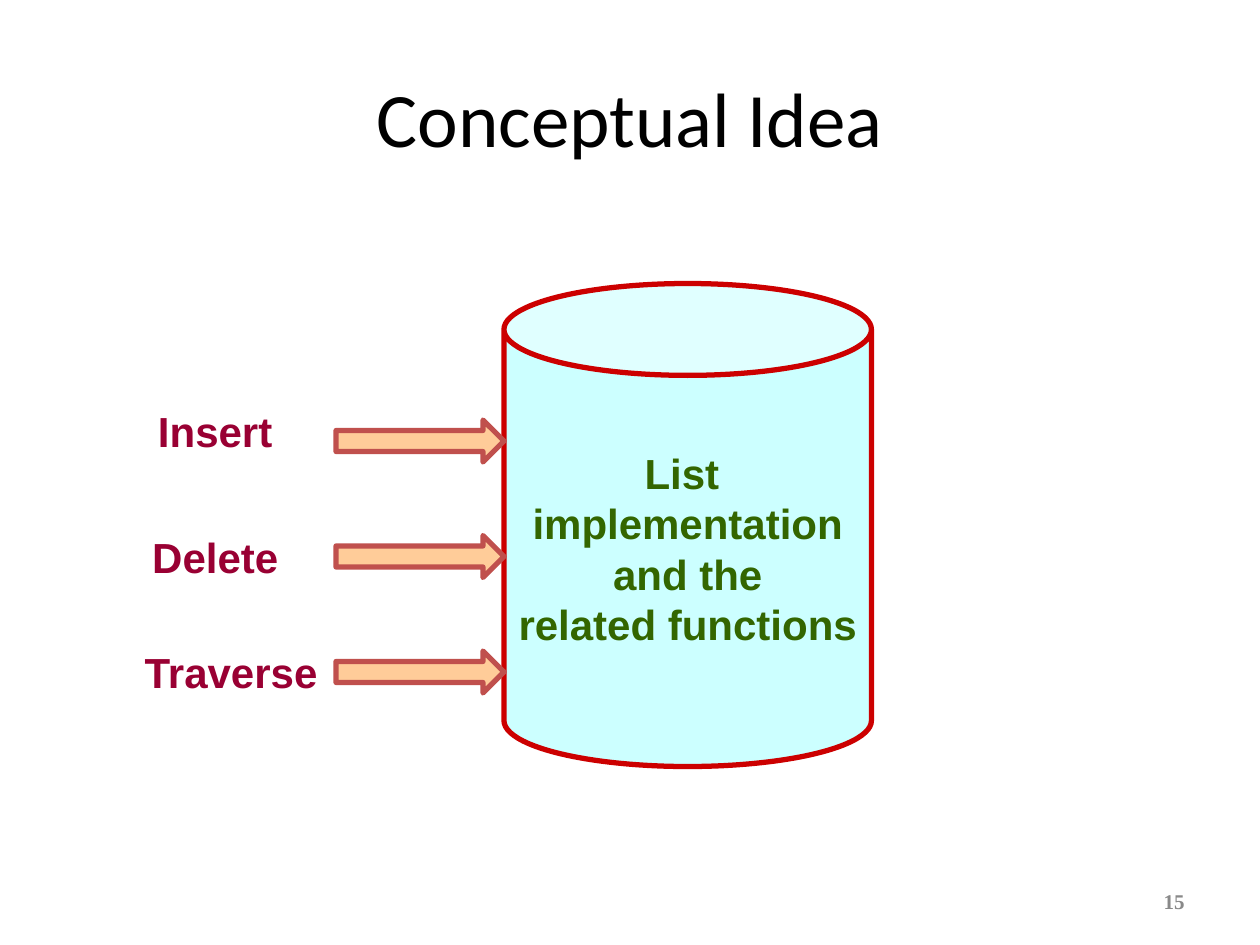
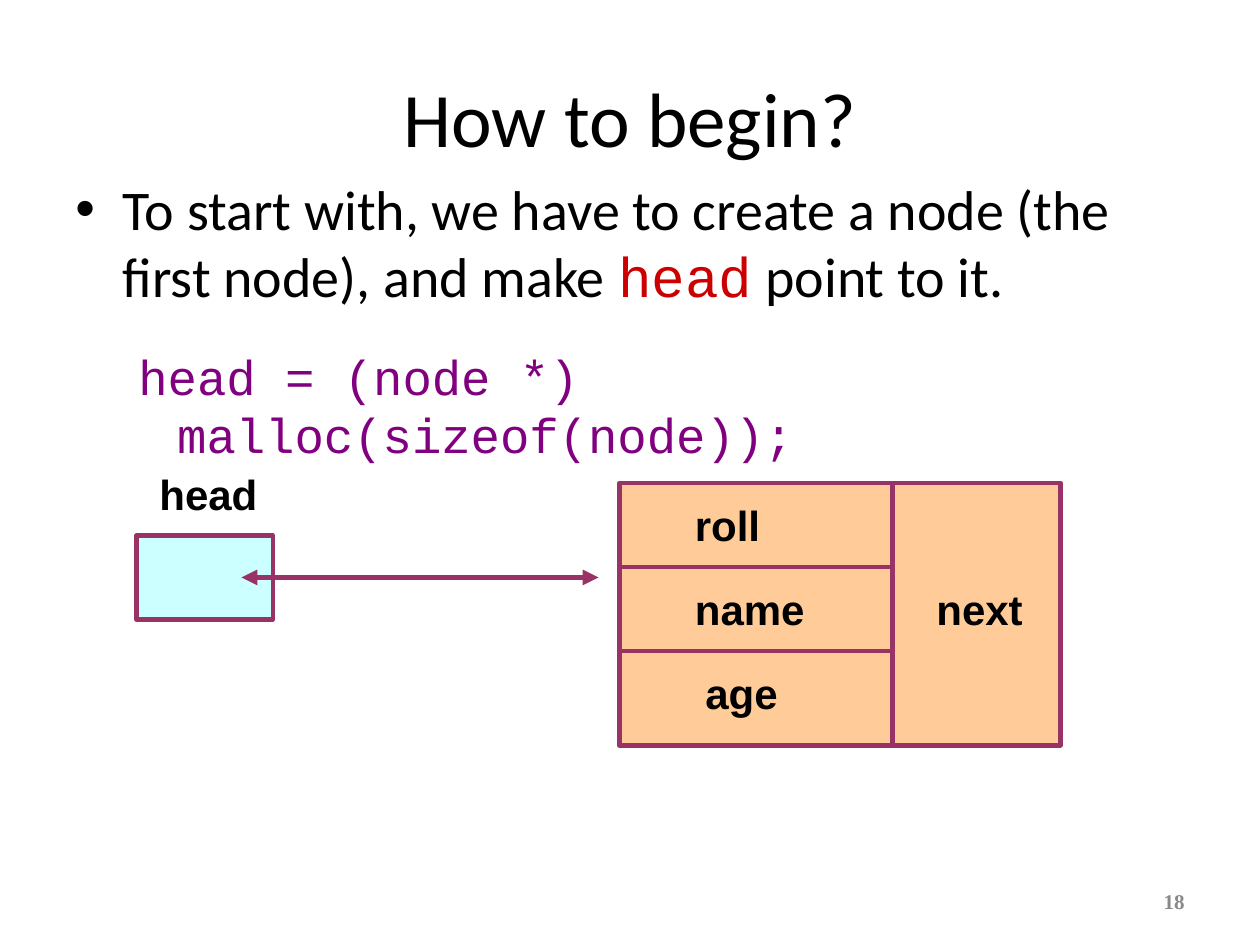
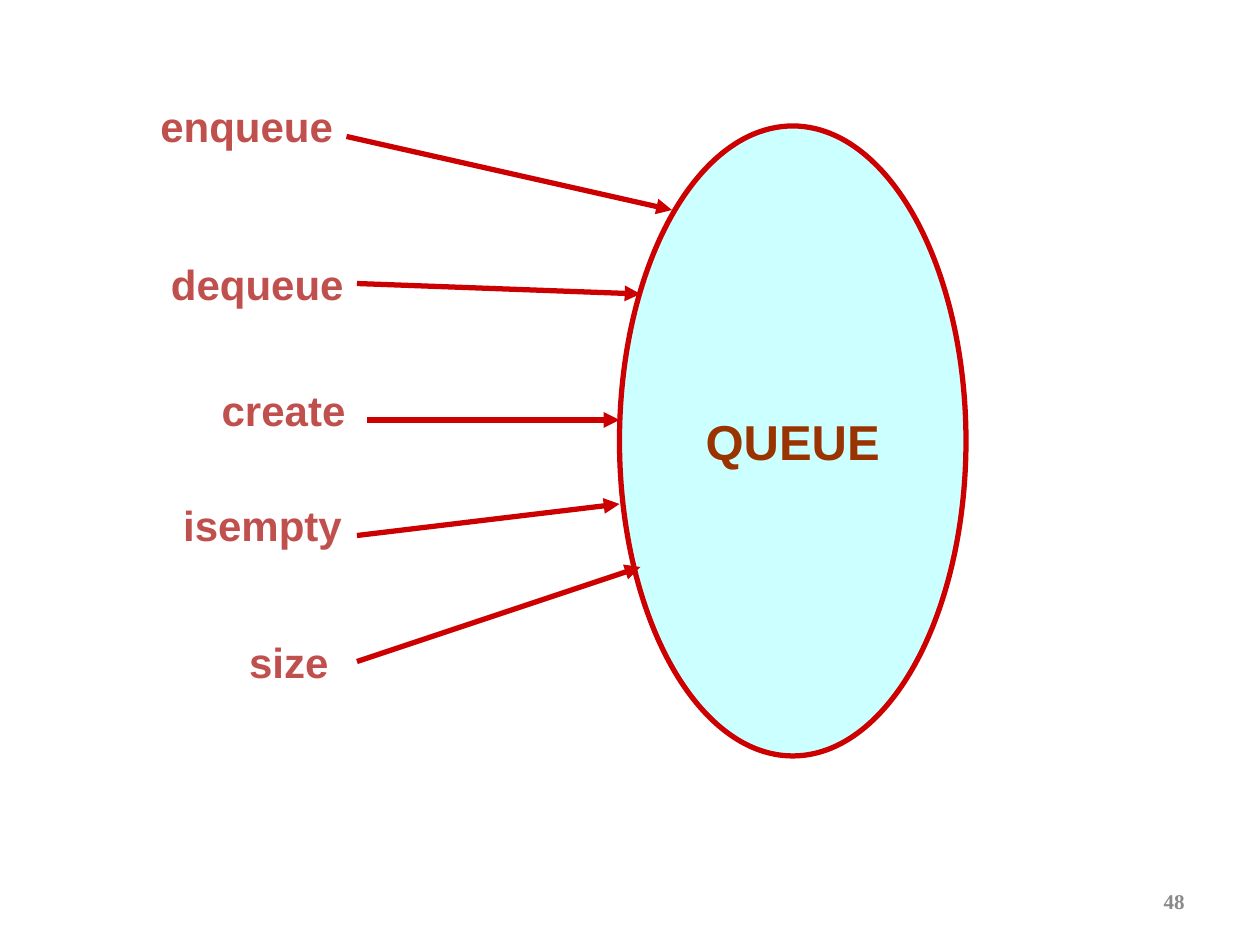
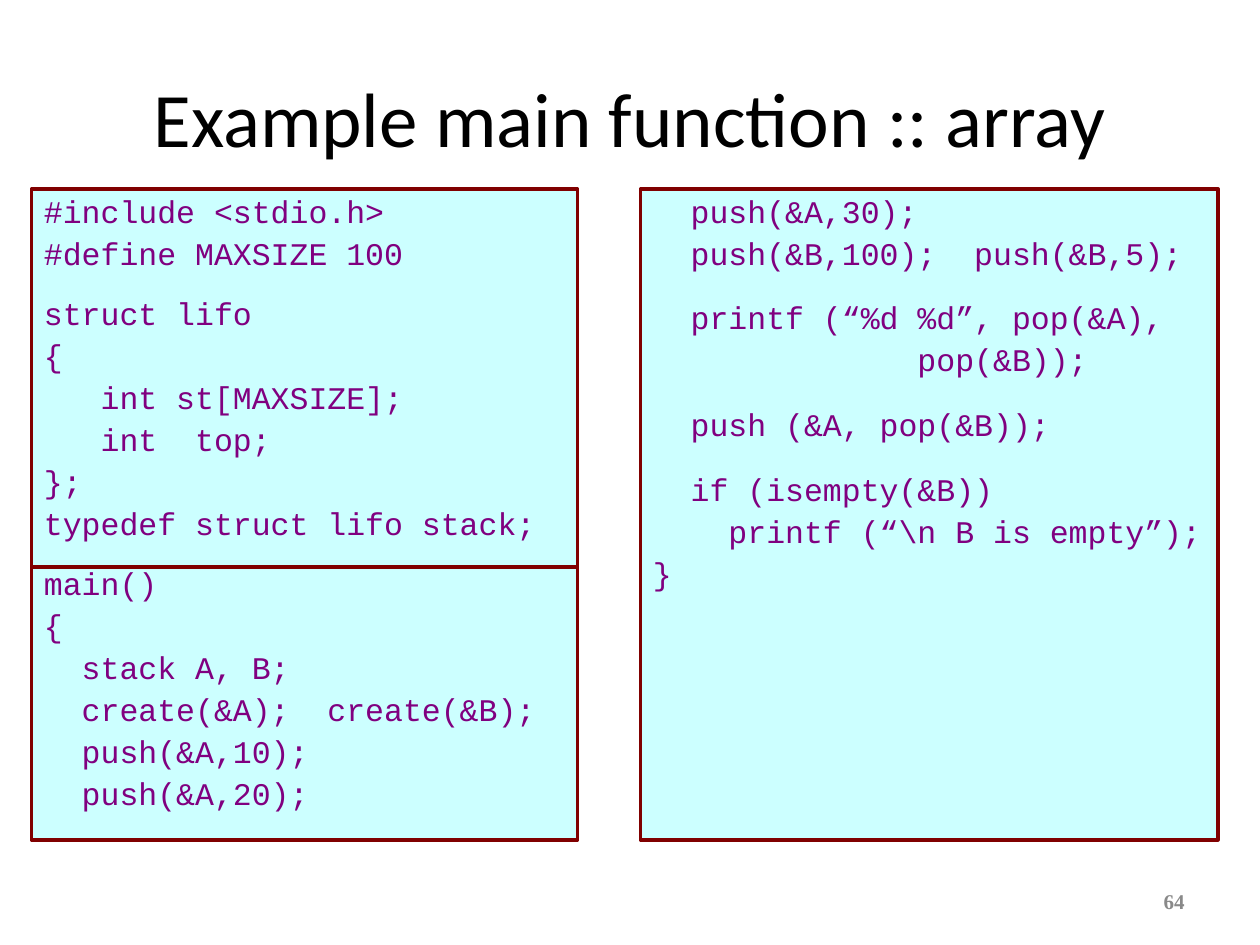
"""Build four lecture slides on lists, queues and stacks."""
from lxml import etree
from pptx import Presentation
from pptx.dml.color import RGBColor
from pptx.enum.shapes import MSO_CONNECTOR, MSO_SHAPE
from pptx.enum.text import MSO_ANCHOR, PP_ALIGN
from pptx.oxml.ns import qn
from pptx.util import Pt

PX = 7620
LEFT, CENTER, RIGHT = PP_ALIGN.LEFT, PP_ALIGN.CENTER, PP_ALIGN.RIGHT
TOP, MIDDLE = MSO_ANCHOR.TOP, MSO_ANCHOR.MIDDLE
RECTANGLE, OVAL = MSO_SHAPE.RECTANGLE, MSO_SHAPE.OVAL
CAN, RIGHT_ARROW = MSO_SHAPE.CAN, MSO_SHAPE.RIGHT_ARROW
STRAIGHT = MSO_CONNECTOR.STRAIGHT
TITLE_ONLY, BLANK = 5, 6

BLACK, GREY = "000000", "898989"
CYAN, PEACH = "CCFFFF", "FFCC99"
RED, BRICK, PLUM, MAROON = "CC0000", "C0504D", "993366", "800000"
PURPLE, CRIMSON, GREEN, BROWN = "800080", "990033", "336600", "993300"

TITLE = {"name": "Calibri", "size": Pt(44), "color": BLACK}
BODY = {"name": "Calibri", "size": Pt(32), "color": BLACK}
LABEL = {"name": "Arial", "size": Pt(24), "bold": True, "color": BLACK}
NUMBER = {"name": "Times New Roman", "size": Pt(12), "bold": True, "color": GREY}
CODE = {"name": "Courier New", "size": Pt(18), "color": PURPLE}


def px(value):
    """Convert px to EMU."""
    return value * PX


def rgb(value):
    """Convert a hex string to a colour."""
    return RGBColor.from_string(value)


class Deck:
    """Hold the presentation, its style and the current slide."""

    def __init__(self):
        """Start an empty presentation."""
        self.presentation = Presentation()
        self.presentation.slide_width = px(1200)
        self.presentation.slide_height = px(900)
        self.slide = None

    def new_slide(self, number, title=None):
        """Add a slide with its number and, if given, its title."""
        layout = TITLE_ONLY if title else BLANK
        self.slide = self.presentation.slides.add_slide(
            self.presentation.slide_layouts[layout])
        if title:
            shape = self.slide.shapes.title
            box = {"left": 60, "top": 36, "width": 1080, "height": 150}
            for name, value in box.items():
                setattr(shape, name, px(value))
            self.fill_text(shape, [title], TITLE, CENTER, MIDDLE)
        self.text((860, 834, 280, 48), [str(number)], NUMBER, RIGHT, MIDDLE)

    def fill_text(self, shape, lines, font, align=LEFT, anchor=TOP, wrap=True, formats=None):
        """Fill a shape with paragraphs, each a string or a list of runs."""
        frame = shape.text_frame
        frame.word_wrap = wrap
        frame.vertical_anchor = anchor
        for index, line in enumerate(lines):
            paragraph = frame.add_paragraph() if index else frame.paragraphs[0]
            paragraph.alignment = align
            for name, value in (formats[index] if formats else {}).items():
                setattr(paragraph, name, value)
            for text, changes in [(line, {})] if isinstance(line, str) else line:
                run = paragraph.add_run()
                run.text = text
                for name, value in {**font, **changes}.items():
                    if name == "color":
                        run.font.color.rgb = rgb(value)
                    else:
                        setattr(run.font, name, value)
        return frame

    def text(self, box, lines, font, align=LEFT, anchor=TOP, formats=None):
        """Add a text box."""
        shape = self.slide.shapes.add_textbox(*map(px, box))
        return self.fill_text(shape, lines, font, align, anchor, formats=formats)

    def label(self, box, text, color=BLACK, align=LEFT):
        """Add a one-line bold label."""
        self.text((*box, 60), [text], {**LABEL, "color": color}, align)

    def shape(self, kind, box, fill, line, weight):
        """Add a filled and outlined preset shape."""
        shape = self.slide.shapes.add_shape(kind, *map(px, box))
        shape.shadow.inherit = False
        shape.fill.solid()
        shape.fill.fore_color.rgb = rgb(fill)
        shape.line.color.rgb = rgb(line)
        shape.line.width = Pt(weight)
        return shape

    def line(self, start, end, color, weight, heads=()):
        """Add a straight line with optional arrowheads."""
        connector = self.slide.shapes.add_connector(STRAIGHT, *map(px, (*start, *end)))
        connector.line.color.rgb = rgb(color)
        connector.line.width = Pt(weight)
        outline = connector.line._get_or_add_ln()
        for head in heads:
            etree.SubElement(outline, qn(f"a:{head}"), type="triangle")
        etree.SubElement(connector._element.spPr, qn("a:effectLst"))

    def indent(self, paragraph, left, hanging, bullet=None):
        """Set a hanging indent and an optional bullet."""
        properties = paragraph._p.get_or_add_pPr()
        properties.set("marL", str(px(left)))
        properties.set("indent", str(px(-hanging)))
        if bullet:
            etree.SubElement(properties, qn("a:buFont"), typeface="Arial")
            etree.SubElement(properties, qn("a:buChar"), char=bullet)

    def code(self, left, width, blocks, gap):
        """Add a code panel whose blocks are set apart by a gap in points."""
        shape = self.shape(RECTANGLE, (left, 180, width, 620), CYAN, MAROON, 2)
        lines, formats = [], []
        for block in blocks:
            for index, line in enumerate(block.split("\n")):
                space = 4.5 if index else gap if lines else 0
                lines.append(line)
                formats.append({"line_spacing": Pt(19.5), "space_before": Pt(space)})
        frame = self.fill_text(shape, lines, CODE, formats=formats)
        for paragraph in frame.paragraphs:
            self.indent(paragraph, 45, 45)


def concept_slide(deck):
    """Show the list as a store behind three operations."""
    deck.new_slide(15, "Conceptual Idea")
    store = deck.shape(CAN, (480, 270, 350, 460), CYAN, RED, 3)
    lines = ["List ", "implementation", "and the", "related functions"]
    deck.fill_text(store, lines, {**LABEL, "color": GREEN}, CENTER, MIDDLE, False,
                   [{"line_spacing": Pt(28.8)}] * len(lines))
    operations = [("Insert", 380, 170), ("Delete", 500, 170), ("Traverse", 610, 200)]
    for index, (name, top, width) in enumerate(operations):
        deck.shape(RIGHT_ARROW, (320, 400 + 110 * index, 160, 40), PEACH, BRICK, 3)
        deck.label((120, top, width), name, CRIMSON, CENTER)


def begin_slide(deck):
    """Show how the head points to the first node."""
    deck.new_slide(18, "How to begin?")
    lines = [
        [("To start with, we have to create a node (the first node), and make ", {}),
         ("head", {"name": "Courier New", "color": RED}),
         (" point to it.", {})],
        [("head = (node *) malloc(sizeof(node));", {**CODE, "size": Pt(28)})],
    ]
    formats = [{"line_spacing": Pt(38.4)},
               {"line_spacing": Pt(33.6), "space_before": Pt(21.5)}]
    frame = deck.text((60, 160, 1080, 620), lines, BODY, formats=formats)
    statement, allocation = frame.paragraphs
    deck.indent(statement, 45, 45, "•")
    deck.indent(allocation, 97, 37)

    deck.shape(RECTANGLE, (590, 460, 420, 250), PEACH, PLUM, 2.5)
    deck.line((850, 460), (850, 710), PLUM, 2.5)
    for y in (540, 620):
        deck.line((590, y), (850, y), PLUM, 2.5)
    deck.shape(RECTANGLE, (130, 510, 130, 80), CYAN, PLUM, 2.5)
    deck.line((230, 550), (570, 550), PLUM, 3, ("headEnd", "tailEnd"))
    deck.label((140, 440, 140), "head")
    for name, left, top in [("roll", 650, 470), ("name", 650, 550),
                            ("age", 660, 630), ("next", 880, 550)]:
        deck.label((left, top, 200), name)


def queue_slide(deck):
    """Show the queue with its five operations."""
    deck.new_slide(48)
    queue = deck.shape(OVAL, (590, 120, 330, 600), CYAN, RED, 3)
    deck.fill_text(queue, ["QUEUE"], {**LABEL, "size": Pt(28), "color": BROWN},
                   CENTER, MIDDLE, False)
    operations = [
        ("enqueue", (140, 90, 190), (330, 130), (640, 200)),
        ("dequeue", (150, 240, 190), (340, 270), (610, 280)),
        ("create", (190, 360, 160), (350, 400), (590, 400)),
        ("isempty", (150, 470, 200), (340, 510), (590, 480)),
        ("size", (200, 600, 150), (340, 630), (610, 540)),
    ]
    for name, box, start, end in operations:
        deck.line(start, end, RED, 3, ("tailEnd",))
        deck.label(box, name, BRICK, CENTER)


def code_slide(deck):
    """Show a main function that uses two stacks."""
    deck.new_slide(64, "Example main function :: array")
    deck.code(30, 520, [
        """#include <stdio.h>
#define MAXSIZE 100""",
        """struct lifo
{
   int st[MAXSIZE];
   int  top;
};
typedef struct lifo stack;""",
        """main()
{
  stack A, B;
  create(&A);  create(&B);
  push(&A,10);
  push(&A,20);""",
    ], 15)
    deck.code(610, 550, [
        """  push(&A,30);
  push(&B,100);  push(&B,5);""",
        """  printf (“%d %d”, pop(&A),
              pop(&B));""",
        "  push (&A, pop(&B));",
        """  if (isempty(&B))
    printf (“\\n B is empty”);
}""",
    ], 17.5)
    deck.line((30, 540), (550, 540), MAROON, 2.5)


def main():
    """Build and save the slides."""
    deck = Deck()
    for build in (concept_slide, begin_slide, queue_slide, code_slide):
        build(deck)
    deck.presentation.save("out.pptx")


if __name__ == "__main__":
    main()
